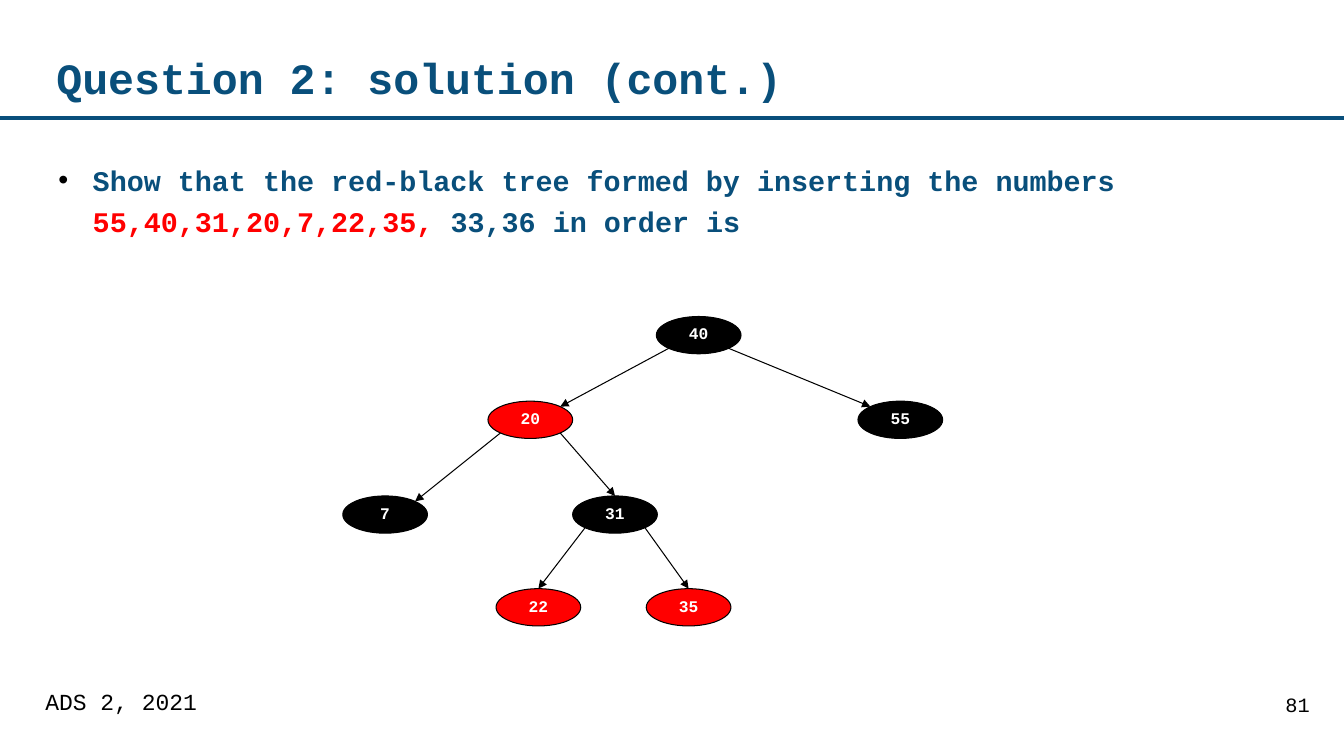
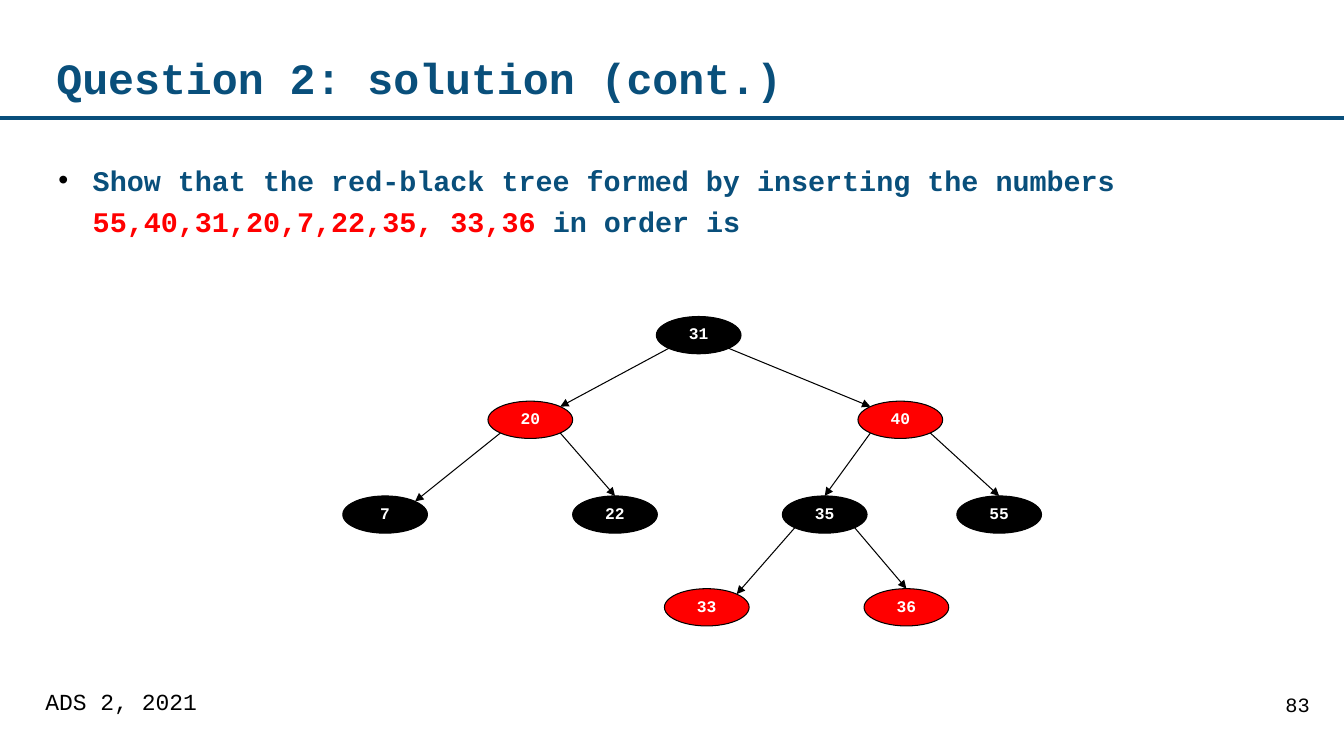
from dataclasses import dataclass
from math import sqrt

from lxml import etree
from pptx import Presentation
from pptx import util as u
from pptx.dml.color import RGBColor
from pptx.enum import shapes, text
from pptx.oxml import ns

COLORS = {"blue": "094F7B", "red": "FF0000", "black": "000000", "white": "FFFFFF"}
FONT = "Courier New"
SLIDE_WIDTH, SLIDE_HEIGHT = 13.33, 7.5
NODE_WIDTH, NODE_HEIGHT = 0.84, 0.37
LEVEL_TOPS = (3.14, 3.98, 4.92, 5.84)
WIDE_STEP = 1.0
TITLE = "Question 2: solution (cont.)"
FOOTER = "ADS 2, 2021"


@dataclass(frozen=True)
class Run:
    text: str
    color: str = "blue"


@dataclass(frozen=True)
class Node:
    key: int
    color: str
    left: float
    level: int
    parent: int | None = None

    @property
    def center_x(self) -> float:
        return self.left + NODE_WIDTH / 2

    @property
    def top(self) -> float:
        return LEVEL_TOPS[self.level]

    def corner(self, side: int, down: int) -> tuple[float, float]:
        return (self.center_x + side * NODE_WIDTH / 2 / sqrt(2),
                self.top + NODE_HEIGHT / 2 * (1 + down / sqrt(2)))


@dataclass(frozen=True)
class TreeSlide:
    number: int
    question: tuple[Run, ...]
    nodes: tuple[Node, ...]


QUESTION_START = Run("Show that the red-black tree formed by inserting the numbers ")

TREE_SLIDES = (
    TreeSlide(
        81,
        (QUESTION_START, Run("55,40,31,20,7,22,35, ", "red"), Run("33,36 in order is")),
        (
            Node(40, "black", 6.51, 0),
            Node(20, "red", 4.84, 1, 40),
            Node(55, "black", 8.51, 1, 40),
            Node(7, "black", 3.4, 2, 20),
            Node(31, "black", 5.68, 2, 20),
            Node(22, "red", 4.92, 3, 31),
            Node(35, "red", 6.41, 3, 31),
        ),
    ),
    TreeSlide(
        83,
        (QUESTION_START, Run("55,40,31,20,7,22,35, 33,36", "red"), Run(" in order is")),
        (
            Node(31, "black", 6.51, 0),
            Node(20, "red", 4.84, 1, 31),
            Node(40, "red", 8.51, 1, 31),
            Node(7, "black", 3.4, 2, 20),
            Node(22, "black", 5.68, 2, 20),
            Node(35, "black", 7.76, 2, 40),
            Node(55, "black", 9.49, 2, 40),
            Node(33, "red", 6.59, 3, 35),
            Node(36, "red", 8.57, 3, 35),
        ),
    ),
)


def rgb(color: str) -> RGBColor:
    return RGBColor.from_string(COLORS[color])


def add_run(paragraph, run: Run, size: float, bold: bool = False) -> None:
    piece = paragraph.add_run()
    piece.text = run.text
    piece.font.name = FONT
    piece.font.size = u.Pt(size)
    piece.font.bold = bold
    piece.font.color.rgb = rgb(run.color)


def set_insets(frame, horizontal: float, vertical: float) -> None:
    frame.margin_left = frame.margin_right = u.Inches(horizontal)
    frame.margin_top = frame.margin_bottom = u.Inches(vertical)


def add_text(slide, box: tuple[float, float, float, float], runs: tuple[Run, ...],
             size: float, spacing: float, insets: tuple[float, float] = (0, 0),
             bold: bool = False, align=text.PP_ALIGN.LEFT, anchor=text.MSO_ANCHOR.TOP):
    frame = slide.shapes.add_textbox(*map(u.Inches, box)).text_frame
    frame.word_wrap = True
    frame.vertical_anchor = anchor
    set_insets(frame, *insets)
    paragraph = frame.paragraphs[0]
    paragraph.alignment = align
    paragraph.line_spacing = spacing
    for run in runs:
        add_run(paragraph, run, size, bold)
    return paragraph


def add_bullet(paragraph) -> None:
    properties = paragraph._p.get_or_add_pPr()
    properties.set("marL", str(u.Inches(0.36)))
    properties.set("indent", str(-u.Inches(0.34)))
    bullet_color = etree.SubElement(properties, ns.qn("a:buClr"))
    etree.SubElement(bullet_color, ns.qn("a:srgbClr"), val=COLORS["black"])
    etree.SubElement(properties, ns.qn("a:buFont"), typeface="Arial")
    etree.SubElement(properties, ns.qn("a:buChar"), char="•")


def add_line(slide, start: tuple[float, float], end: tuple[float, float],
             color: str, width: float):
    line = slide.shapes.add_connector(
        shapes.MSO_CONNECTOR.STRAIGHT, *map(u.Inches, (*start, *end)))
    line.line.color.rgb = rgb(color)
    line.line.width = u.Pt(width)
    etree.SubElement(line._element.spPr, ns.qn("a:effectLst"))
    return line


def add_node(slide, node: Node):
    oval = slide.shapes.add_shape(
        shapes.MSO_SHAPE.OVAL,
        *map(u.Inches, (node.left, node.top, NODE_WIDTH, NODE_HEIGHT)))
    oval.shadow.inherit = False
    oval.fill.solid()
    oval.fill.fore_color.rgb = rgb(node.color)
    oval.line.color.rgb = rgb("black")
    oval.line.width = u.Pt(0.75)
    frame = oval.text_frame
    frame.vertical_anchor = text.MSO_ANCHOR.MIDDLE
    set_insets(frame, 0.1, 0.05)
    paragraph = frame.paragraphs[0]
    paragraph.alignment = text.PP_ALIGN.CENTER
    paragraph.line_spacing = 0.82
    add_run(paragraph, Run(str(node.key), "white"), 11.6, bold=True)
    return oval


def add_edge(slide, parent: Node, child: Node, child_oval) -> None:
    step = child.center_x - parent.center_x
    side = 1 if step > 0 else -1
    is_wide = abs(step) > WIDE_STEP
    end = child.corner(-side, -1) if is_wide else (child.center_x, child.top)
    edge = add_line(slide, parent.corner(side, 1), end, "black", 0.75)
    if not is_wide:
        edge.end_connect(child_oval, 0)
    etree.SubElement(edge.line._get_or_add_ln(), ns.qn("a:tailEnd"), type="triangle")


def add_tree(slide, nodes: tuple[Node, ...]) -> None:
    by_key = {node.key: node for node in nodes}
    ovals = {node.key: add_node(slide, node) for node in nodes}
    for node in nodes:
        if node.parent is not None:
            add_edge(slide, by_key[node.parent], node, ovals[node.key])


def add_frame(slide, number: int) -> None:
    add_line(slide, (0, 1.17), (SLIDE_WIDTH, 1.17), "blue", 2.75)
    add_text(slide, (0.56, 0.33, 11.38, 0.86), (Run(TITLE),), 30.9, 1.04,
             bold=True, anchor=text.MSO_ANCHOR.MIDDLE)
    add_text(slide, (10.96, 6.82, 2.15, 0.52), (Run(str(number), "black"),),
             14.5, 0.96, (0.12, 0.06), align=text.PP_ALIGN.RIGHT)
    add_text(slide, (0.34, 6.82, 8.43, 0.52), (Run(FOOTER, "black"),),
             16.4, 0.82, (0.11, 0.05))


def main() -> None:
    deck = Presentation()
    deck.slide_width = u.Inches(SLIDE_WIDTH)
    deck.slide_height = u.Inches(SLIDE_HEIGHT)
    for content in TREE_SLIDES:
        slide = deck.slides.add_slide(deck.slide_layouts[6])
        add_frame(slide, content.number)
        question = add_text(slide, (0.56, 1.55, 12.22, 1.0), content.question,
                            20.3, 1.2, bold=True)
        add_bullet(question)
        add_tree(slide, content.nodes)
    deck.save("out.pptx")


if __name__ == "__main__":
    main()
